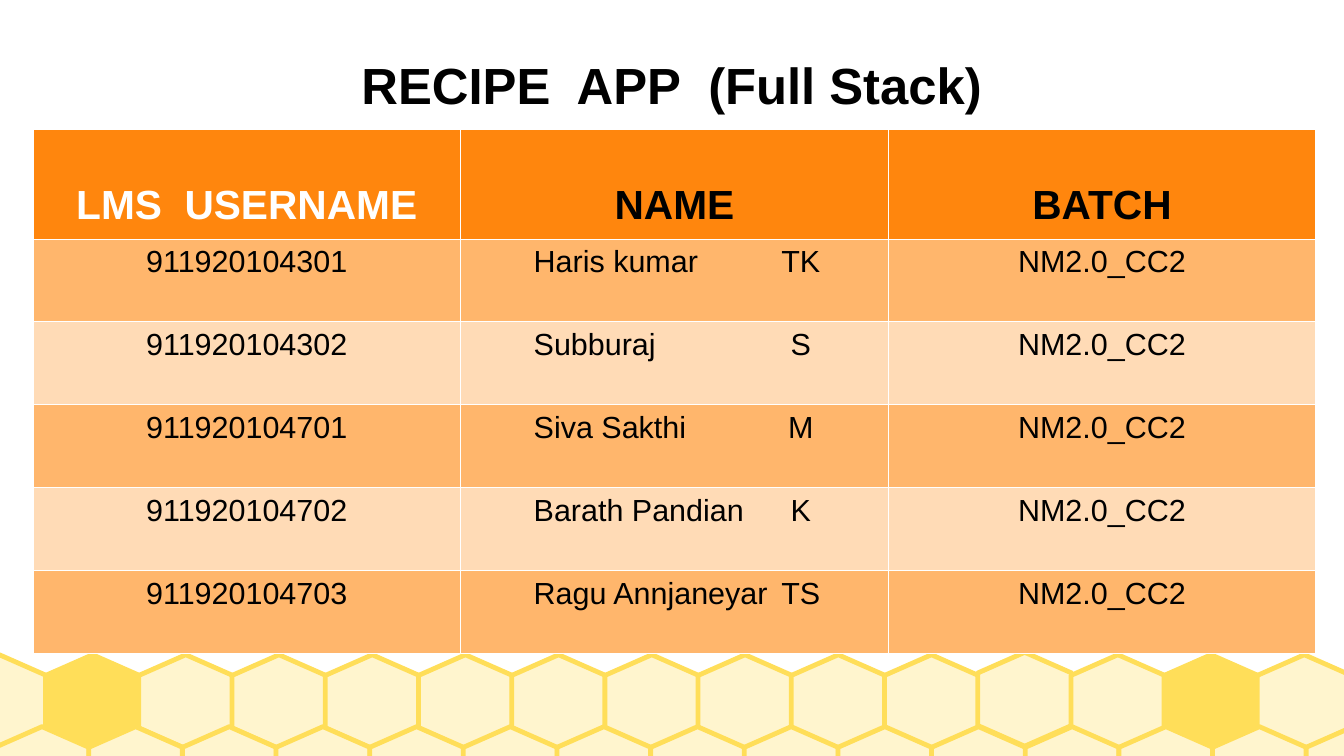
from lxml import etree
from pptx import Presentation
from pptx.dml.color import RGBColor
from pptx.enum import text
from pptx.oxml import ns
from pptx.util import Inches, Pt

BLACK = RGBColor(0x00, 0x00, 0x00)
WHITE = RGBColor(0xFF, 0xFF, 0xFF)
ORANGE = RGBColor(0xFF, 0x86, 0x0D)
MID_ORANGE = RGBColor(0xFF, 0xB6, 0x6C)
PALE_ORANGE = RGBColor(0xFF, 0xDB, 0xB6)
HONEY = RGBColor(0xFF, 0xDE, 0x59)
CREAM = RGBColor(0xFF, 0xF5, 0xCE)


def format_text(paragraph, size, color, bold):
    font_format = {"name": "Arial", "size": Pt(size), "bold": bold}
    for attribute, value in font_format.items():
        setattr(paragraph.font, attribute, value)
    paragraph.font.color.rgb = color


def add_borders(cell):
    """Draw a thin white line on all four sides; call before the cell is filled."""
    properties = cell._tc.get_or_add_tcPr()
    for side in ("a:lnL", "a:lnR", "a:lnT", "a:lnB"):
        line = etree.SubElement(properties, ns.qn(side), w=str(Pt(0.57)))
        fill = etree.SubElement(line, ns.qn("a:solidFill"))
        etree.SubElement(fill, ns.qn("a:srgbClr"), val=str(WHITE))


presentation = Presentation()
presentation.slide_width = Inches(11.02)
presentation.slide_height = Inches(6.2)
slide = presentation.slides.add_slide(presentation.slide_layouts[5])

# Honeycomb: two rows of hexagons, each evenly spread from first to last left edge
HEXAGONS = 15
SIZE = 0.77
HEXAGON_CORNERS = [(0, 0.17), (0, 0.6), (SIZE / 2, SIZE), (SIZE, 0.6), (SIZE, 0.17)]
honeycomb = slide.shapes.add_group_shape()
for first, last, row_top, solid, raised in [
    (-0.39, 10.31, 5.37, (1, 13), (11,)),
    (-0.04, 10.71, 5.96, (), ()),
]:
    for column in range(HEXAGONS):
        left = first + column * (last - first) / (HEXAGONS - 1)
        top = row_top - 0.02 if column in raised else row_top
        builder = honeycomb.shapes.build_freeform(Inches(left + SIZE / 2), Inches(top))
        builder.add_line_segments(
            [(Inches(left + x), Inches(top + y)) for x, y in HEXAGON_CORNERS])
        hexagon = builder.convert_to_shape()
        hexagon.shadow.inherit = False
        hexagon.fill.solid()
        hexagon.fill.fore_color.rgb = HONEY if column in solid else CREAM
        hexagon.line.color.rgb = HONEY
        hexagon.line.width = Pt(2.83)

# Title
title = slide.shapes.title
title_place = {"left": 0.59, "top": 0.2, "width": 9.84, "height": 0.98}
for attribute, value in title_place.items():
    setattr(title, attribute, Inches(value))
title.text_frame.text = "RECIPE  APP  (Full Stack)"
title.text_frame.vertical_anchor = text.MSO_ANCHOR.MIDDLE
for side in ("left", "right", "top", "bottom"):
    setattr(title.text_frame, f"margin_{side}", 0)
heading = title.text_frame.paragraphs[0]
heading_format = {
    "alignment": text.PP_ALIGN.CENTER,
    "space_before": Pt(14.4),
    "space_after": Pt(14.4),
}
for attribute, value in heading_format.items():
    setattr(heading, attribute, value)
format_text(heading, 30, BLACK, True)

# Team table; a tab parts each name from its initials
BATCH = "NM2.0_CC2"
team = [
    ("LMS  USERNAME", "NAME", "BATCH"),
    ("911920104301", "Haris kumar\tTK", BATCH),
    ("911920104302", "Subburaj\tS", BATCH),
    ("911920104701", "Siva Sakthi\tM", BATCH),
    ("911920104702", "Barath Pandian\tK", BATCH),
    ("911920104703", "Ragu Annjaneyar\tTS", BATCH),
]
HEADER_HEIGHT, ROW_HEIGHT = 0.9, 0.68
table = slide.shapes.add_table(
    len(team), 3, Inches(0.27), Inches(1.06), Inches(10.52),
    Inches(HEADER_HEIGHT + ROW_HEIGHT * (len(team) - 1))).table
for row_index, values in enumerate(team):
    is_header = row_index == 0
    table.rows[row_index].height = Inches(HEADER_HEIGHT if is_header else ROW_HEIGHT)
    row_color = ORANGE if is_header else (PALE_ORANGE, MID_ORANGE)[row_index % 2]
    for column_index, value in enumerate(values):
        cell = table.cell(row_index, column_index)
        add_borders(cell)
        cell.fill.solid()
        cell.fill.fore_color.rgb = row_color
        cell.text = value
        has_initials = "\t" in value
        cell_format = {
            "margin_left": Inches(0.6 if has_initials else 0.04),
            "margin_right": Inches(0.04),
            "margin_top": Inches(0.05),
            "margin_bottom": Inches(0.09 if is_header else 0.05),
            "vertical_anchor": text.MSO_ANCHOR.BOTTOM if is_header else text.MSO_ANCHOR.TOP,
        }
        for attribute, setting in cell_format.items():
            setattr(cell, attribute, setting)
        paragraph = cell.text_frame.paragraphs[0]
        paragraph.alignment = text.PP_ALIGN.LEFT if has_initials else text.PP_ALIGN.CENTER
        if has_initials:
            tabs = etree.SubElement(paragraph._p.get_or_add_pPr(), ns.qn("a:tabLst"))
            etree.SubElement(tabs, ns.qn("a:tab"), pos=str(Inches(2.19)), algn="ctr")
        color = WHITE if is_header and column_index == 0 else BLACK
        format_text(paragraph, 24 if is_header else 18, color, is_header)

presentation.save("out.pptx")
